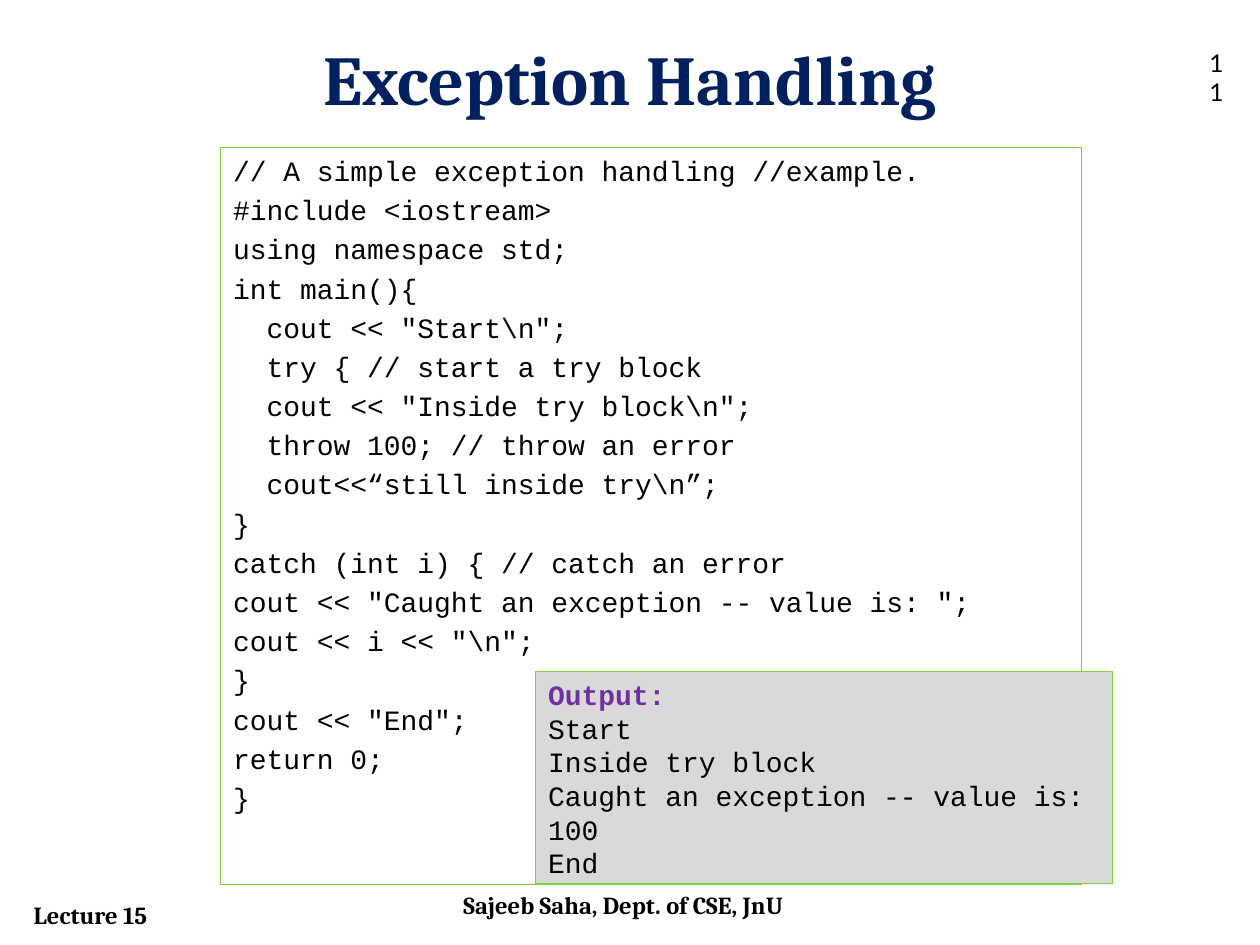
from pptx import Presentation
from pptx import util as u
from pptx.dml.color import RGBColor
from pptx.enum import shapes, text

CODE = r'''// A simple exception handling //example.
#include <iostream>
using namespace std;
int main(){
  cout << "Start\n";
  try { // start a try block
  cout << "Inside try block\n";
  throw 100; // throw an error
  cout<<“still inside try\n”;
}
catch (int i) { // catch an error
cout << "Caught an exception -- value is: ";
cout << i << "\n";
}
cout << "End";
return 0;
}'''
OUTPUT = """Output:
Start
Inside try block
Caught an exception -- value is: 100
End"""


def color(value):
    """Turn a hex string into a colour."""
    return RGBColor.from_string(value)


def style(paragraph, font, size, value="000000", bold=False):
    """Format every run of a paragraph."""
    for run in paragraph.runs:
        run.font.name = font
        run.font.size = u.Pt(size)
        run.font.bold = bold
        run.font.color.rgb = color(value)


def add_label(slide, box, words, font="Cambria", size=14, value="000000", bold=True):
    """Add a one-paragraph text box and return its text frame."""
    text_frame = slide.shapes.add_textbox(*map(u.Cm, box)).text_frame
    text_frame.word_wrap = True
    text_frame.text = words
    style(text_frame.paragraphs[0], font, size, value, bold)
    return text_frame


def add_title(slide, box, words):
    """Add the centred slide title."""
    text_frame = add_label(slide, box, words, size=40, value="002060")
    text_frame.vertical_anchor = text.MSO_ANCHOR.MIDDLE
    text_frame.paragraphs[0].alignment = text.PP_ALIGN.CENTER


def add_code_panel(slide, box, words, fill=None):
    """Add a green-framed panel of code lines and return its paragraphs."""
    shape = slide.shapes.add_shape(shapes.MSO_SHAPE.RECTANGLE, *map(u.Cm, box))
    shape.shadow.inherit = False
    shape.line.color.rgb = color("7FD13B")
    shape.line.width = u.Pt(0.75)
    if fill:
        shape.fill.solid()
        shape.fill.fore_color.rgb = color(fill)
    else:
        shape.fill.background()
    text_frame = shape.text_frame
    text_frame.word_wrap = True
    text_frame.vertical_anchor = text.MSO_ANCHOR.TOP
    text_frame.text = words
    for paragraph in text_frame.paragraphs:
        paragraph.alignment = text.PP_ALIGN.LEFT
        style(paragraph, "Courier New", 16)
    return text_frame.paragraphs


def add_program(slide, box):
    """Add the program listing with spaced lines."""
    for paragraph in add_code_panel(slide, box, CODE):
        paragraph.space_before = u.Pt(3.2)


def add_output(slide, box):
    """Add the program output with a highlighted heading."""
    heading = add_code_panel(slide, box, OUTPUT, "D9D9D9")[0]
    heading.space_before = u.Pt(3.2)
    style(heading, "Courier New", 16, "7030A0", True)


def main():
    """Build and save the presentation."""
    presentation = Presentation()
    presentation.slide_width = u.Cm(25.4)
    presentation.slide_height = u.Cm(19.05)
    slide = presentation.slides.add_slide(presentation.slide_layouts[6])
    add_label(slide, (0.43, 18.01, 5.08, 0.86), "Lecture 15")
    add_program(slide, (4.45, 2.97, 17.35, 14.86))
    add_label(slide, (24.13, 0.84, 1.07, 1.02), "11", font="Lato", bold=False)
    add_output(slide, (10.8, 13.54, 11.63, 4.27))
    add_title(slide, (1.27, 0.58, 22.86, 1.96), "Exception Handling")
    add_label(slide, (9.09, 17.81, 7.19, 1.02), "Sajeeb Saha, Dept. of CSE, JnU")
    presentation.save("out.pptx")


if __name__ == "__main__":
    main()
